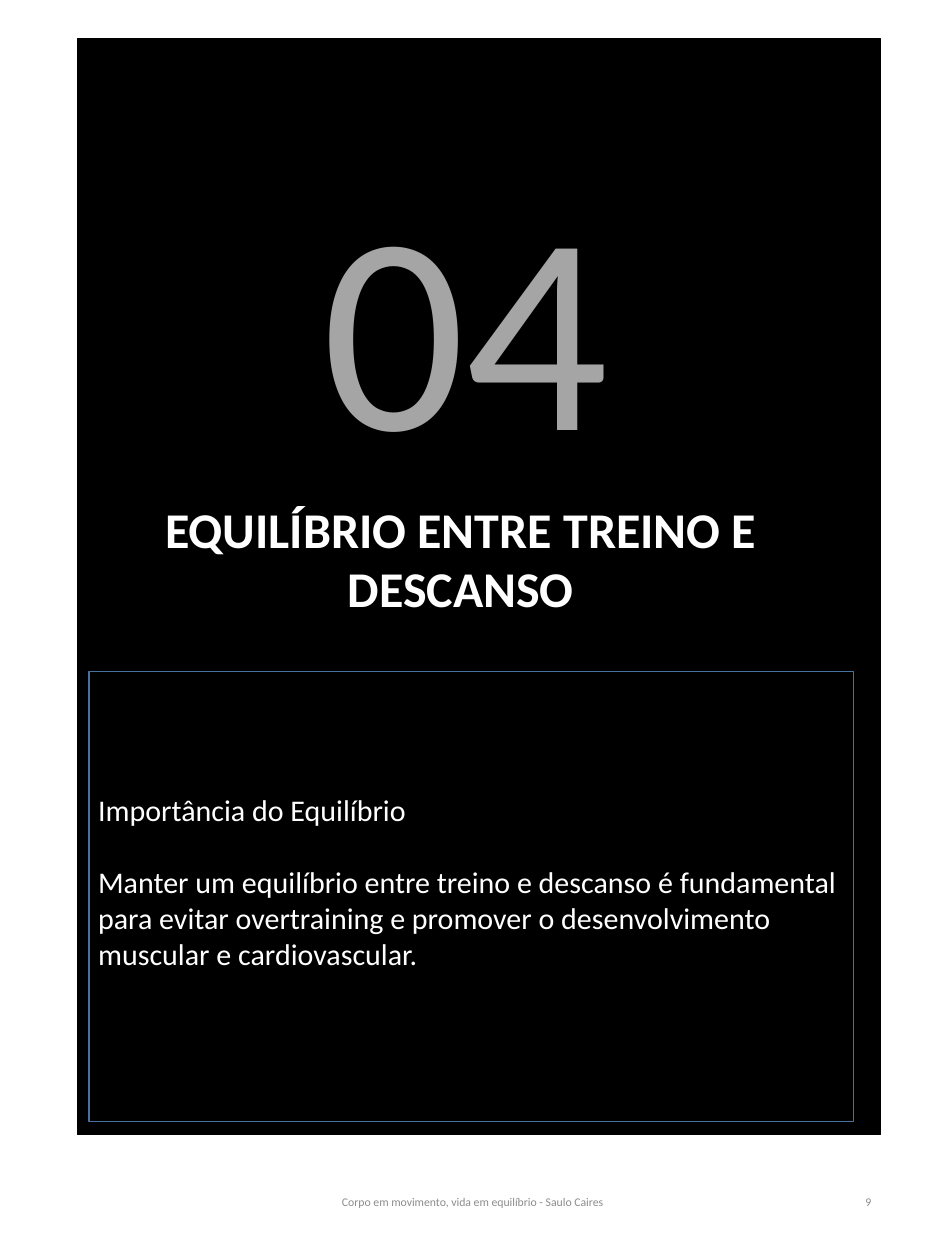
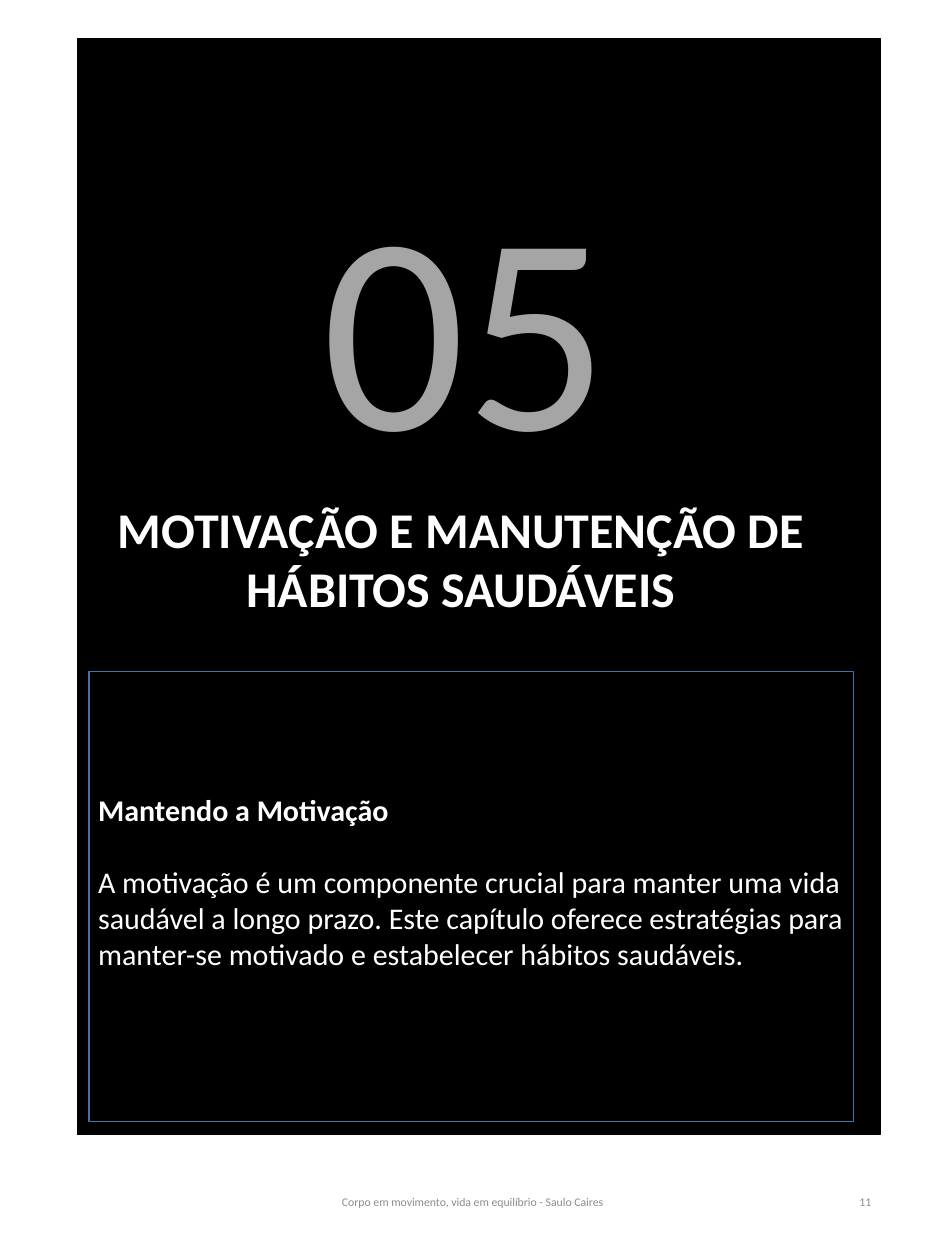
from dataclasses import dataclass

import pptx
import pptx.dml.color
import pptx.enum.shapes
import pptx.enum.text
import pptx.oxml
import pptx.oxml.ns
import pptx.util

PX = 9144  # EMU per px, 100 px to the inch
ALIGN = pptx.enum.text.PP_ALIGN


@dataclass(frozen=True)
class Theme:
    font: str = "Calibri"
    black: str = "000000"
    white: str = "FFFFFF"
    grey: str = "A5A5A5"
    footer_grey: str = "8C8C8C"
    frame_blue: str = "43739E"
    number_size: float = 226
    title_size: float = 40
    body_size: float = 24
    footer_size: float = 9.4
    line_width: float = 1


THEME = Theme()
PAGE_SIZE = (1050, 1400)
PANEL_BOX = (86, 43, 892, 1218)
FOOTER_BOX = (348, 1298, 630, 75)
FOOTER_TEXT = "Corpo em movimento, vida em equilíbrio - Saulo Caires"

CHAPTERS = [
    dict(number="04", page="9",
         title="EQUILÍBRIO ENTRE TREINO E DESCANSO",
         heading="Importância do Equilíbrio", heading_bold=False,
         text="Manter um equilíbrio entre treino e descanso é fundamental para "
              "evitar overtraining e promover o desenvolvimento muscular e "
              "cardiovascular."),
    dict(number="05", page="11",
         title="MOTIVAÇÃO E MANUTENÇÃO DE HÁBITOS SAUDÁVEIS",
         heading="Mantendo a Motivação", heading_bold=True,
         text="A motivação é um componente crucial para manter uma vida saudável "
              "a longo prazo. Este capítulo oferece estratégias para manter-se "
              "motivado e estabelecer hábitos saudáveis."),
]


def rgb(color):
    return pptx.dml.color.RGBColor.from_string(color)


def place(shape, left, top, width, height):
    shape.left, shape.top = left * PX, top * PX
    shape.width, shape.height = width * PX, height * PX


def paint(shape, fill, line, opacity=None):
    shape.shadow.inherit = False
    shape.fill.solid()
    shape.fill.fore_color.rgb = rgb(fill)
    shape.line.color.rgb = rgb(line)
    shape.line.width = pptx.util.Pt(THEME.line_width)
    if opacity is not None:
        color = shape._element.spPr.find(".//" + pptx.oxml.ns.qn("a:srgbClr"))
        color.append(pptx.oxml.parse_xml(
            f'<a:alpha {pptx.oxml.ns.nsdecls("a")} val="{opacity * 1000}"/>'))


def frame_text(shape, bottom=5):
    """Centre the text vertically, wrapped, and set the insets in px."""
    frame = shape.text_frame
    frame.word_wrap = True
    frame.auto_size = pptx.enum.text.MSO_AUTO_SIZE.NONE
    frame.vertical_anchor = pptx.enum.text.MSO_ANCHOR.MIDDLE
    frame.margin_left = frame.margin_right = 10 * PX
    frame.margin_top, frame.margin_bottom = 5 * PX, bottom * PX
    return frame


def write(paragraph, text, *, size, color, bold=False, align=ALIGN.CENTER,
          space_after=0):
    paragraph.alignment = align
    paragraph.space_before = pptx.util.Pt(0)
    paragraph.space_after = pptx.util.Pt(space_after)
    run = paragraph.add_run()
    run.text = text
    run.font.name = THEME.font
    run.font.size = pptx.util.Pt(size)
    run.font.bold = bold
    run.font.color.rgb = rgb(color)


def remove_bullet(paragraph):
    properties = paragraph._p.get_or_add_pPr()
    properties.set("marL", "0")
    properties.set("indent", "0")
    properties.append(pptx.oxml.parse_xml(
        f'<a:buNone {pptx.oxml.ns.nsdecls("a")}/>'))


def add_rectangle(slide, box, **paint_options):
    shape = slide.shapes.add_shape(
        pptx.enum.shapes.MSO_SHAPE.RECTANGLE, *(length * PX for length in box))
    paint(shape, THEME.black, THEME.black, **paint_options)
    return shape


def add_panel(slide, box):
    panel = add_rectangle(slide, box)
    # The panel goes behind the title and body placeholders.
    slide.shapes._spTree.insert(2, panel._element)


def add_number(slide, box, number):
    shape = add_rectangle(slide, box, opacity=32)
    write(frame_text(shape).paragraphs[0], number,
          size=THEME.number_size, color=THEME.grey)


def fill_title(title, box, text):
    place(title, *box)
    paint(title, THEME.black, THEME.black)
    write(frame_text(title).paragraphs[0], text,
          size=THEME.title_size, color=THEME.white, bold=True)


def fill_body(body, box, heading, heading_bold, text):
    place(body, *box)
    paint(body, THEME.black, THEME.frame_blue)
    frame = frame_text(body, bottom=38)
    style = dict(size=THEME.body_size, color=THEME.white, align=ALIGN.LEFT)
    write(frame.paragraphs[0], heading, bold=heading_bold,
          space_after=29, **style)
    write(frame.add_paragraph(), text, **style)
    for paragraph in frame.paragraphs:
        remove_bullet(paragraph)


def add_footer(slide, box, page):
    left, top, width, height = box
    page_width = 236
    parts = [(FOOTER_TEXT, left, 354, ALIGN.CENTER),
             (page, left + width - page_width, page_width, ALIGN.RIGHT)]
    for text, part_left, part_width, align in parts:
        shape = slide.shapes.add_textbox(
            part_left * PX, top * PX, part_width * PX, height * PX)
        write(frame_text(shape).paragraphs[0], text, align=align,
              size=THEME.footer_size, color=THEME.footer_grey)


def add_chapter(presentation, chapter):
    slide = presentation.slides.add_slide(presentation.slide_layouts[1])
    left, top, width, height = PANEL_BOX
    add_panel(slide, PANEL_BOX)
    fill_title(slide.shapes.title, (left + 13, top + 466, 826, 222),
               chapter["title"])
    add_number(slide, (left + 23, top + 128, 817, 364), chapter["number"])
    fill_body(slide.placeholders[1], (left + 13, top + 703, 849, 500),
              chapter["heading"], chapter["heading_bold"], chapter["text"])
    add_footer(slide, FOOTER_BOX, chapter["page"])


def main():
    presentation = pptx.Presentation()
    presentation.slide_width, presentation.slide_height = (
        length * PX for length in PAGE_SIZE)
    for chapter in CHAPTERS:
        add_chapter(presentation, chapter)
    presentation.save("out.pptx")


if __name__ == "__main__":
    main()
